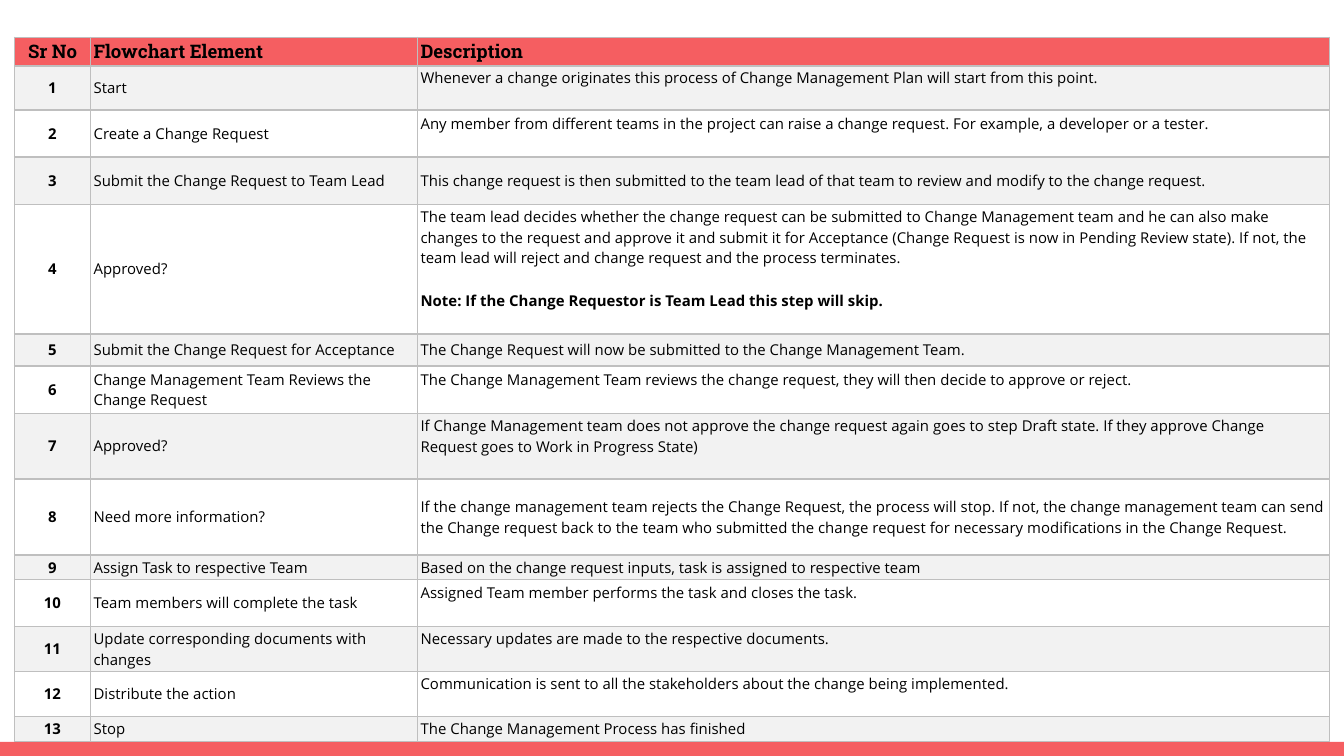
from dataclasses import dataclass

from lxml.etree import SubElement as Sub
from pptx import Presentation
from pptx.dml.color import RGBColor as RGB
from pptx.enum.shapes import MSO_SHAPE as Kind
from pptx.enum.text import MSO_ANCHOR as Anchor, PP_ALIGN as Align
from pptx.oxml.ns import qn
from pptx.util import Pt


@dataclass(frozen=True)
class Theme:
    """Colours, fonts and sizes of the slide."""
    red: str = "F55E61"
    band: str = "F2F2F2"
    ink: str = "000000"
    rule: str = "BFBFBF"
    head: str = "Roboto Slab"
    body: str = "Open Sans"
    big: float = 10
    small: float = 8
    line: float = 10.9
    edge: float = 0.75
    side: float = 1.7
    pad: float = 0.8


THEME = Theme()
WIDTH, HEIGHT = 720, 405
COLS = (40.72, 175.18, 488.57)
HEADS = ("Sr No", "Flowchart Element", "Description")
TOP_ROW = 15.5

# Row height, spare lines under the description, element, description, note
STEPS = (
    (23.6, 1, "Start",
     "Whenever a change originates this process of Change Management Plan "
     "will start from this point."),
    (25.2, 1, "Create a Change Request",
     "Any member from different teams in the project can raise a change "
     "request. For example, a developer or a tester."),
    (25.2, 0, "Submit the Change Request to Team Lead",
     "This change request is then submitted to the team lead of that team "
     "to review and modify to the change request."),
    (69.6, 1, "Approved?",
     "The team lead decides whether the change request can be submitted to "
     "Change Management team and he can also make changes to the request and "
     "approve it and submit it for Acceptance (Change Request is now in "
     "Pending Review state). If not, the team lead will reject and change "
     "request and the process terminates.",
     "Note: If the Change Requestor is Team Lead this step will skip."),
    (17.2, 0, "Submit the Change Request for Acceptance",
     "The Change Request will now be submitted to the Change Management Team."),
    (25.2, 1, "Change Management Team Reviews the Change Request",
     "The Change Management Team reviews the change request, they will then "
     "decide to approve or reject."),
    (35.3, 1, "Approved?",
     "If Change Management team does not approve the change request again "
     "goes to step Draft state. If they approve Change Request goes to Work "
     "in Progress State)"),
    (40.7, 0, "Need more information?",
     "If the change management team rejects the Change Request, the process "
     "will stop. If not, the change management team can send the Change "
     "request back to the team who submitted the change request for necessary "
     "modifications in the Change Request."),
    (13.2, 0, "Assign Task to respective Team",
     "Based on the change request inputs, task is assigned to respective team"),
    (25.2, 1, "Team members will complete the task",
     "Assigned Team member performs the task and closes the task."),
    (24.1, 1, "Update corresponding documents with changes",
     "Necessary updates are made to the respective documents."),
    (24.1, 1, "Distribute the action",
     "Communication is sent to all the stakeholders about the change being "
     "implemented."),
    (13.2, 0, "Stop", "The Change Management Process has finished"),
)


def frame(cell):
    """Draw the four borders of a cell."""
    props = cell._tc.get_or_add_tcPr()
    for tag in ("a:lnL", "a:lnR", "a:lnT", "a:lnB"):
        line = Sub(props, qn(tag), w=str(Pt(THEME.edge)))
        Sub(Sub(line, qn("a:solidFill")), qn("a:srgbClr"), val=THEME.rule)


def write(cell, texts, fill=None, font=THEME.body, size=THEME.small,
          bold=False, mid=False, spare=0):
    """Fill one cell with its paragraphs, any after the first a bold note."""
    frame(cell)
    if fill:
        cell.fill.solid()
        cell.fill.fore_color.rgb = RGB.from_string(fill)
    else:
        cell.fill.background()
    cell.vertical_anchor = Anchor.MIDDLE
    cell.margin_left = cell.margin_right = Pt(THEME.side)
    cell.margin_top = Pt(THEME.pad)
    cell.margin_bottom = Pt(THEME.pad + spare * THEME.line)
    cell.text_frame.text = "\n".join(texts)
    for num, para in enumerate(cell.text_frame.paragraphs):
        para.alignment = Align.CENTER if mid else Align.LEFT
        para.font.name, para.font.size = font, Pt(size)
        para.font.bold = bold or num > 0
        para.font.color.rgb = RGB.from_string(THEME.ink)
        if num:
            para.space_before = Pt(12)


def add_bar(slide, left, top, width, height):
    """Place the red strip along the foot of the slide."""
    bar = slide.shapes.add_shape(
        Kind.RECTANGLE, Pt(left), Pt(top), Pt(width), Pt(height))
    bar.shadow.inherit = False
    bar.fill.solid()
    bar.fill.fore_color.rgb = RGB.from_string(THEME.red)
    bar.line.fill.background()


def add_steps(slide, left, top, width, height):
    """Place the table of flowchart steps."""
    table = slide.shapes.add_table(
        len(STEPS) + 1, len(COLS),
        Pt(left), Pt(top), Pt(width), Pt(height)).table
    table.first_row = table.horz_banding = False
    for col, size in zip(table.columns, COLS):
        col.width = Pt(size)
    table.rows[0].height = Pt(TOP_ROW)
    for num, text in enumerate(HEADS):
        write(table.cell(0, num), [text], THEME.red, THEME.head, THEME.big,
              bold=True, mid=num == 0)
    for num, (tall, spare, name, *texts) in enumerate(STEPS, 1):
        table.rows[num].height = Pt(tall)
        fill = THEME.band if num % 2 else None
        write(table.cell(num, 0), [str(num)], fill, bold=True, mid=True)
        write(table.cell(num, 1), [name], fill)
        write(table.cell(num, 2), texts, fill, spare=spare)


def main():
    """Build and save the slide."""
    deck = Presentation()
    deck.slide_width, deck.slide_height = Pt(WIDTH), Pt(HEIGHT)
    slide = deck.slides.add_slide(deck.slide_layouts[6])
    add_bar(slide, 0, 397.5, WIDTH, 7.5)
    add_steps(slide, 7.77, 19.9, sum(COLS),
              TOP_ROW + sum(step[0] for step in STEPS))
    deck.save("out.pptx")


if __name__ == "__main__":
    main()
